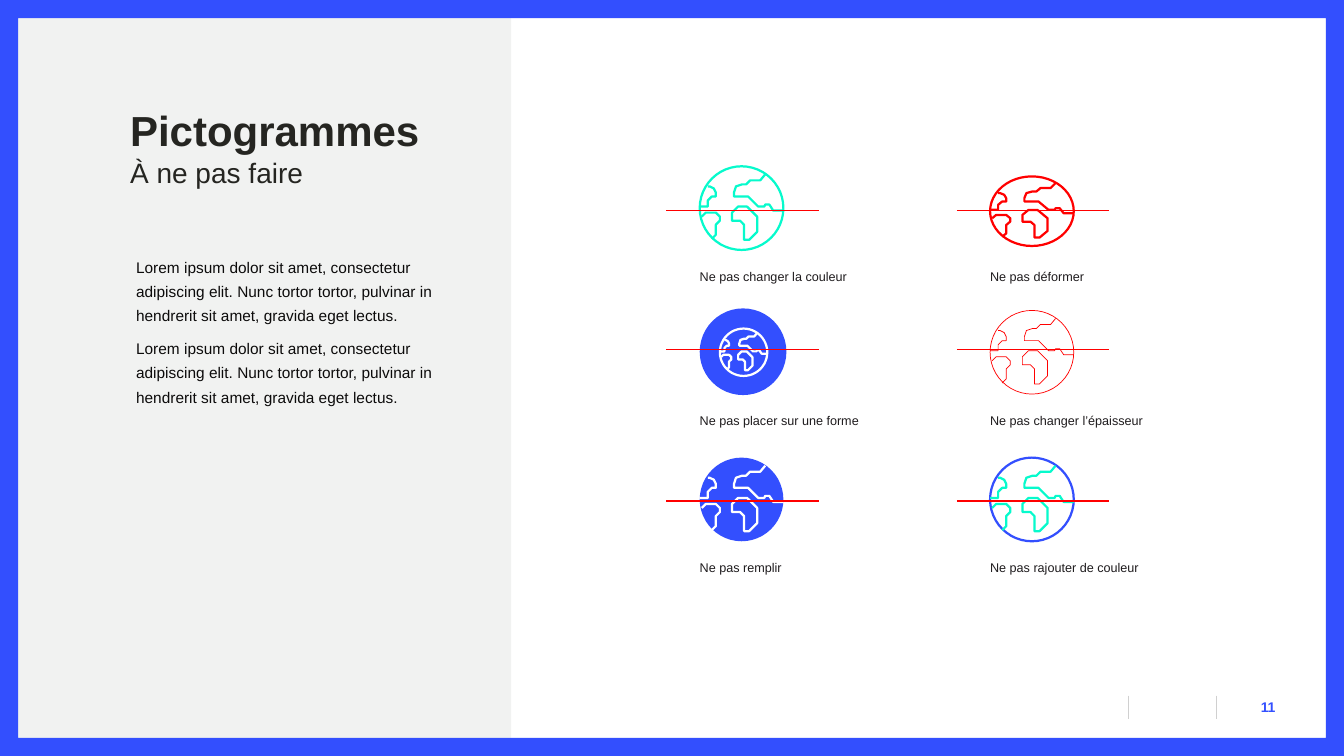
from lxml import etree
from pptx import Presentation
from pptx import util as u
from pptx.dml.color import RGBColor
from pptx.enum import shapes, text
from pptx.oxml import ns

COLORS = {
    "blue": "334FFE", "mint": "06FACC", "red": "FF0000", "white": "FFFFFF",
    "panel": "F1F2F1", "divider": "D0D0D0", "title": "252521",
    "body": "0C0B0B", "caption": "1F1C1E", "number": "3350FF",
}
TITLE = "Pictogrammes"
SUBTITLE = "À ne pas faire"
LOREM = ("Lorem ipsum dolor sit amet, consectetur adipiscing elit. Nunc tortor "
         "tortor, pulvinar in hendrerit sit amet, gravida eget lectus.")
PAGE_NUMBER = "11"

WIDTH, HEIGHT, BORDER = 13.33, 7.5, 0.18
COLUMNS = (6.94, 9.82)
ROWS = ((1.65, 2.09), (3.08, 3.47), (4.54, 4.97))
GLOBE, DISC, CAPTION_DROP = 0.83, 0.86, 0.97
STRIKE_LEAD, STRIKE_LENGTH = 0.33, 1.51
DIVIDERS = (11.19, 12.06)
THICK, THIN = 1.59, 0.5

WHOLE = (0, 0, GLOBE, GLOBE)
SQUASHED = (0, 0.1, GLOBE, 0.69)
SMALL = (0.2, 0.18, 0.47, 0.47)
RULES = [
    {"caption": "Ne pas changer la couleur", "cell": (0, 0), "frame": WHOLE,
     "coast": "mint", "rim": "mint"},
    {"caption": "Ne pas déformer", "cell": (1, 0), "frame": SQUASHED,
     "coast": "red", "rim": "red"},
    {"caption": "Ne pas placer sur une forme", "cell": (0, 1), "frame": SMALL,
     "coast": "white", "rim": "white", "disc": "blue"},
    {"caption": "Ne pas changer l’épaisseur", "cell": (1, 1), "frame": WHOLE,
     "coast": "red", "rim": "red", "weight": THIN},
    {"caption": "Ne pas remplir", "cell": (0, 2), "frame": WHOLE,
     "coast": "white", "sea": "blue"},
    {"caption": "Ne pas rajouter de couleur", "cell": (1, 2), "frame": WHOLE,
     "coast": "mint", "rim": "blue"},
]
GLOBE_UNITS = 83
COASTS = [
    ([(8, 20), (10, 20), (14, 22), (16, 26), (16, 30), (12, 30), (8, 34),
      (8, 40), (0, 40)], False),
    ([(12, 72), (16, 68), (16, 58), (20, 54), (20, 50), (16, 46), (6, 46),
      (2, 50)], False),
    ([(83, 44), (73, 44), (69, 38), (65, 38), (64, 40), (58, 40), (48, 30),
      (34, 30), (34, 26), (36, 20), (42, 18), (46, 18), (50, 14), (60, 14),
      (65, 8)], False),
    ([(49, 73), (44, 73), (44, 58), (40, 54), (32, 54), (32, 46), (38, 40),
      (47, 40), (57, 50), (57, 65)], True),
]

deck = Presentation()
deck.slide_width, deck.slide_height = u.Inches(WIDTH), u.Inches(HEIGHT)
slide = deck.slides.add_slide(deck.slide_layouts[6])
canvas = slide.shapes


def color(name):
    return RGBColor.from_string(COLORS[name])


def paint(part, fill=None, line=None, weight=THICK):
    part.shadow.inherit = False
    if fill:
        part.fill.solid()
        part.fill.fore_color.rgb = color(fill)
    else:
        part.fill.background()
    if line:
        part.line.color.rgb = color(line)
        part.line.width = u.Pt(weight)
    else:
        part.line.fill.background()
    return part


def preset(kind, box, **look):
    return paint(canvas.add_shape(kind, *map(u.Inches, box)), **look)


def rule_line(start, end, ink, weight):
    rule = canvas.add_connector(shapes.MSO_CONNECTOR.STRAIGHT,
                                *map(u.Inches, start + end))
    rule.line.color.rgb = color(ink)
    rule.line.width = u.Pt(weight)
    etree.SubElement(rule._element.spPr, ns.qn("a:effectLst"))


def write(box, paragraphs, insets=(0, 0, 0, 0), anchor="TOP", **layout):
    frame = canvas.add_textbox(*map(u.Inches, box)).text_frame
    settings = dict(zip(("margin_left", "margin_top", "margin_right", "margin_bottom"),
                        map(u.Inches, insets)))
    settings.update(word_wrap=True, vertical_anchor=text.MSO_ANCHOR[anchor])
    for key, value in settings.items():
        setattr(frame, key, value)
    for index, lines in enumerate(paragraphs):
        paragraph = frame.add_paragraph() if index else frame.paragraphs[0]
        for key, value in layout.items():
            if index or key != "space_before":
                setattr(paragraph, key, value)
        for order, (words, size, ink, bold) in enumerate(lines):
            if order:
                paragraph.add_line_break()
            run = paragraph.add_run()
            run.text = words
            run.font.color.rgb = color(ink)
            for key, value in {"name": "Arial", "size": u.Pt(size), "bold": bold}.items():
                setattr(run.font, key, value)


def draw_globe(left, top, width, height, coast, rim=None, sea=None, weight=THICK):
    preset(shapes.MSO_SHAPE.OVAL, (left, top, width, height),
           fill=sea, line=rim, weight=weight)
    scale = (u.Inches(width) / GLOBE_UNITS, u.Inches(height) / GLOBE_UNITS)
    for points, closed in COASTS:
        outline = canvas.build_freeform(*points[0], scale=scale)
        outline.add_line_segments(points[1:], close=closed)
        land = outline.convert_to_shape(u.Inches(left), u.Inches(top))
        paint(land, line=coast, weight=weight)


preset(shapes.MSO_SHAPE.RECTANGLE, (0, 0, 5.07, HEIGHT), fill="panel")
for x in DIVIDERS:
    rule_line((x, 6.9), (x, 7.13), "divider", 0.5)
border = preset(shapes.MSO_SHAPE.FRAME, (0, 0, WIDTH, HEIGHT), fill="blue")
border.adjustments[0] = BORDER / HEIGHT

write((1.29, 1.04, 10.68, 1.13),
      [[(TITLE, 30, "title", True), (SUBTITLE, 20, "title", False)]])
write((12.07, 6.82, 0.58, 0.38), [[(PAGE_NUMBER, 10, "number", True)]],
      anchor="MIDDLE", alignment=text.PP_ALIGN.RIGHT)
write((1.35, 2.5, 3.17, 4.01), [[(LOREM, 11, "body", False)]] * 2,
      line_spacing=u.Pt(17.4), space_before=u.Pt(6))

for rule in RULES:
    column, row = rule["cell"]
    left, (top, strike) = COLUMNS[column], ROWS[row]
    if "disc" in rule:
        preset(shapes.MSO_SHAPE.OVAL, (left, top - 0.02, DISC, DISC), fill=rule["disc"])
    dx, dy, width, height = rule["frame"]
    look = {key: rule[key] for key in ("coast", "rim", "sea", "weight") if key in rule}
    draw_globe(left + dx, top + dy, width, height, **look)
    write((left, top + CAPTION_DROP, 2.22, 0.25),
          [[(rule["caption"], 9, "caption", False)]], insets=(0, 0.05, 0.1, 0.05))
    start = left - STRIKE_LEAD
    rule_line((start, strike), (start + STRIKE_LENGTH, strike), "red", 1)

deck.save("out.pptx")
